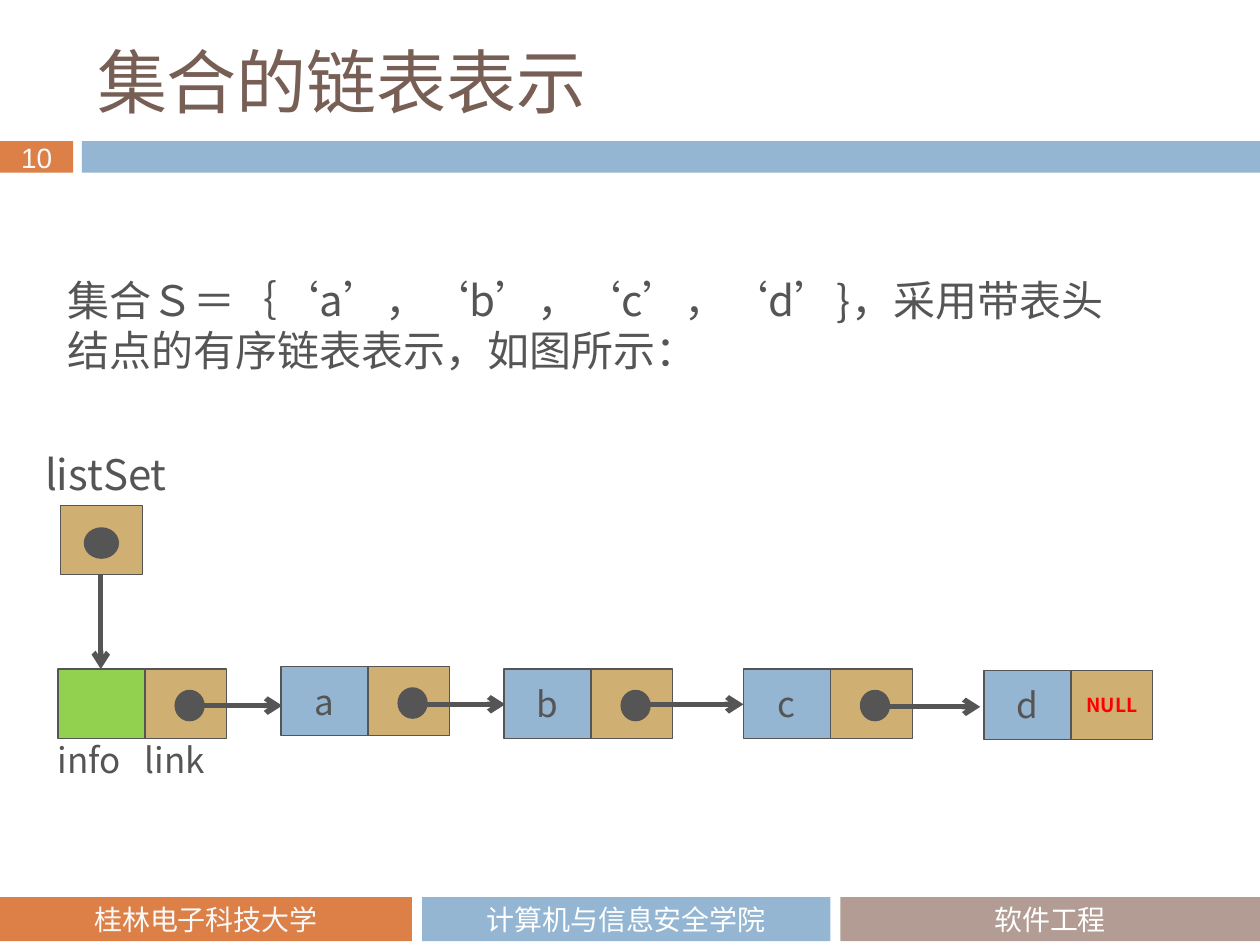
import pptx
import pptx.dml.color
import pptx.enum.lang
import pptx.enum.shapes
import pptx.enum.text
import pptx.oxml
import pptx.oxml.ns
import pptx.util

Inches = pptx.util.Inches
SHAPE = pptx.enum.shapes.MSO_SHAPE
ALIGN = pptx.enum.text.PP_ALIGN
ANCHOR = pptx.enum.text.MSO_ANCHOR
SANS = "Noto Sans CJK SC"
GREY, BLUE, TAN, ORANGE = "555555", "94B6D2", "D0AF72", "DD8047"
INFO_WIDTH, LINK_WIDTH, CELL_HEIGHT = 0.69, 0.65, 0.55


def color(code):
    """Turn a hex string into a colour."""
    return pptx.dml.color.RGBColor.from_string(code)


def element(tag, **attributes):
    """Make a drawing element with the given attributes."""
    node = pptx.oxml.parse_xml(f"<a:{tag} {pptx.oxml.ns.nsdecls('a')}/>")
    for name, value in attributes.items():
        node.set(name, str(value))
    return node


def write(shape, text, size, code, font=SANS, align=ALIGN.LEFT,
          anchor=ANCHOR.TOP, wrap=True, bold=False):
    """Write one formatted paragraph into a shape."""
    frame = shape.text_frame
    frame.word_wrap, frame.vertical_anchor = wrap, anchor
    para = frame.paragraphs[0]
    para.alignment = align
    span = para.add_run()
    span.text = text
    formats = {"name": font, "size": pptx.util.Pt(size), "bold": bold,
               "language_id": pptx.enum.lang.MSO_LANGUAGE_ID.SIMPLIFIED_CHINESE}
    for name, value in formats.items():
        setattr(span.font, name, value)
    span.font.color.rgb = color(code)
    span.font._element.find(pptx.oxml.ns.qn("a:latin")).addnext(
        element("ea", typeface=font))
    return para


def add_block(page, left, top, width, height, fill, line=None, kind=SHAPE.RECTANGLE):
    """Add a filled shape, outlined if a line colour is given."""
    block = page.shapes.add_shape(
        kind, Inches(left), Inches(top), Inches(width), Inches(height))
    block.shadow.inherit = False
    block.fill.solid()
    block.fill.fore_color.rgb = color(fill)
    if line:
        block.line.color.rgb = color(line)
        block.line.width = pptx.util.Pt(0.75)
    else:
        block.line.fill.background()
    return block


def add_label(page, left, top, width, height, text, size, wrap=False):
    """Add a grey text box."""
    box = page.shapes.add_textbox(
        Inches(left), Inches(top), Inches(width), Inches(height))
    return write(box, text, size, GREY, wrap=wrap)


def add_arrow(page, start, end):
    """Add a thick arrow between two points."""
    arrow = page.shapes.add_connector(
        pptx.enum.shapes.MSO_CONNECTOR.STRAIGHT, *map(Inches, start + end))
    arrow.line.color.rgb = color(GREY)
    arrow.line.width = pptx.util.Pt(3)
    arrow.line._get_or_add_ln().append(element("tailEnd", type="arrow"))
    arrow._element.spPr.append(element("effectLst"))


def add_header(page, left, top, width):
    """Place the title and the numbered band below it."""
    title = page.shapes.title
    places = {"left": left + 0.67, "top": top + 0.25, "width": 8.92, "height": 0.78}
    for name, value in places.items():
        setattr(title, name, Inches(value))
    write(title, "集合的链表表示", 40, "775F55", "Noto Sans CJK JP",
          anchor=ANCHOR.MIDDLE)
    number = add_block(page, left, top + 1.12, 0.58, 0.25, ORANGE)
    write(number, "10", 16, "F9F9F9", "Arial", ALIGN.CENTER, ANCHOR.MIDDLE, False)
    add_block(page, left + 0.65, top + 1.12, width - 0.65, 0.25, BLUE)


def add_footer(page, left, top, height):
    """Place the three footer bands."""
    bands = [(0, 3.27, ORANGE, "桂林电子科技大学", "F9F9F9"),
             (3.35, 3.24, BLUE, "计算机与信息安全学院", "FFFFFF"),
             (6.67, 3.33, "B29C93", "软件工程", "FFFFFF")]
    for offset, width, fill, text, code in bands:
        band = add_block(page, left + offset, top, width, height, fill)
        write(band, text, 16, code, "Calibri", ALIGN.CENTER, ANCHOR.MIDDLE)


def add_node(page, left, top, value, fill=BLUE, last=False):
    """Place a list node with its info and link cells."""
    info = add_block(page, left, top, INFO_WIDTH, CELL_HEIGHT, fill, GREY)
    link_left = left + INFO_WIDTH
    link = add_block(page, link_left, top, LINK_WIDTH, CELL_HEIGHT, TAN, GREY)
    if value:
        write(info, value, 20, GREY, align=ALIGN.CENTER, anchor=ANCHOR.MIDDLE)
    if last:
        write(link, "NULL", 11, "FF0000", align=ALIGN.CENTER,
              anchor=ANCHOR.MIDDLE, bold=True)
    else:
        add_block(page, link_left + 0.24, top + 0.17, 0.23, 0.24, GREY, GREY,
                  SHAPE.OVAL)


def add_list_head(page, left, top):
    """Place the list pointer with its name and arrow."""
    add_label(page, left - 0.22, top - 0.5, 1.23, 0.5, "listSet", 24)
    add_block(page, left, top, LINK_WIDTH, CELL_HEIGHT, TAN, GREY)
    add_block(page, left + 0.19, top + 0.18, 0.27, 0.24, GREY, GREY, SHAPE.OVAL)
    add_arrow(page, (left + 0.32, top + CELL_HEIGHT), (left + 0.32, top + 1.3))


def add_linked_list(page, left, top):
    """Place the chain of nodes, its arrows and the cell names."""
    nodes = [(0, 0.02, "", "92D050"), (1.77, 0, "a", BLUE), (3.54, 0.02, "b", BLUE),
             (5.44, 0.02, "c", BLUE), (7.35, 0.03, "d", BLUE)]
    for across, down, value, fill in nodes:
        add_node(page, left + across, top + down, value, fill, value == "d")
    arrows = [(1.03, 0.31), (2.8, 0.3), (4.69, 0.3), (6.57, 0.32)]
    for across, down in arrows:
        start = left + across
        add_arrow(page, (start, top + down), (start + 0.75, top + down))
    para = add_label(page, left - 0.1, top + 0.52, 1.51, 0.44, "info\tlink", 20)
    tabs = element("tabLst")
    tabs.append(element("tab", pos=Inches(INFO_WIDTH), algn="l"))
    para._p.get_or_add_pPr().append(tabs)


def main():
    """Build and save the deck."""
    deck = pptx.Presentation()
    deck.slide_width, deck.slide_height = Inches(10), Inches(7.5)
    page = deck.slides.add_slide(deck.slide_layouts[5])
    add_header(page, 0, 0, 10)
    add_footer(page, 0, 7.12, 0.35)
    add_label(page, 0.44, 2.13, 8.67, 0.91,
              "集合Ｓ＝｛‘a’，‘b’，‘c’，‘d’}，采用带表头结点的有序链表表示，如图所示：",
              24, wrap=True)
    add_list_head(page, 0.48, 4.01)
    add_linked_list(page, 0.46, 5.29)
    deck.save("out.pptx")


if __name__ == "__main__":
    main()
